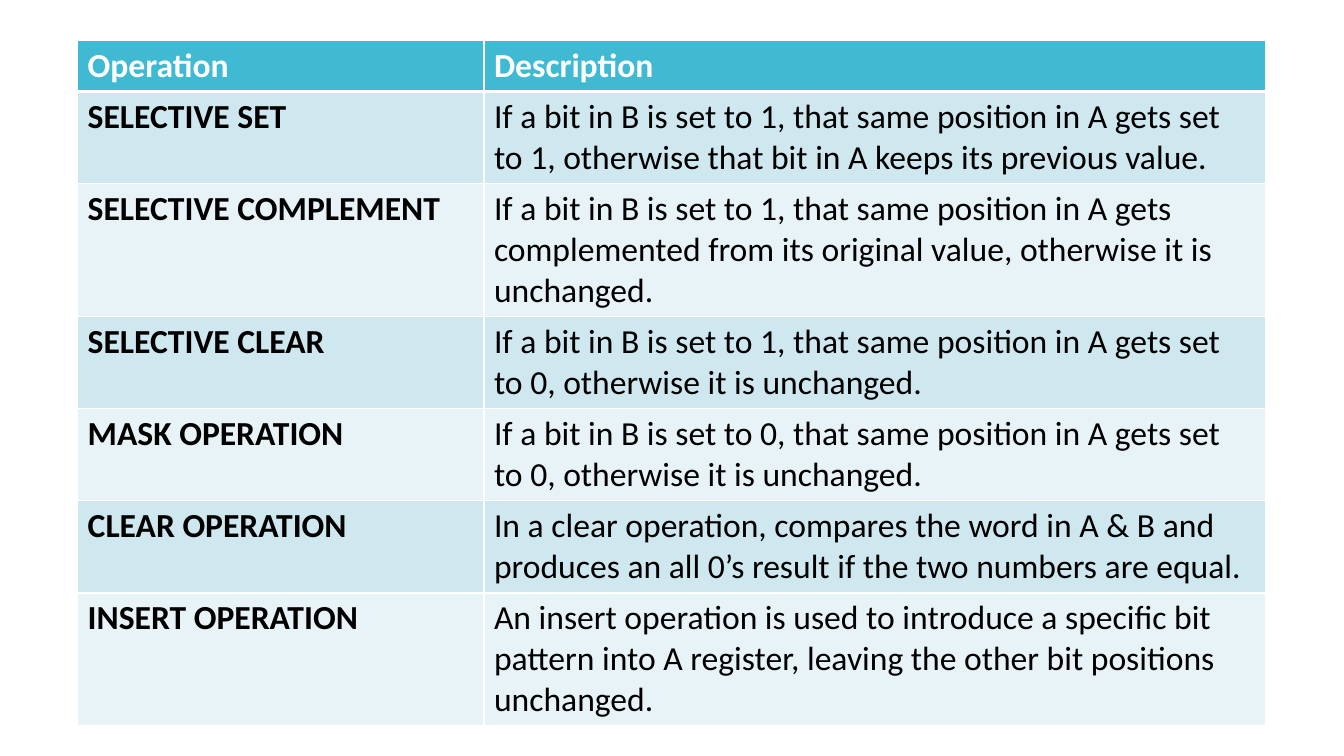
import pptx
import pptx.dml.color
import pptx.oxml
import pptx.oxml.ns
import pptx.util
from pptx.util import Inches

WHITE = pptx.dml.color.RGBColor(0xFF, 0xFF, 0xFF)
BLACK = pptx.dml.color.RGBColor(0x00, 0x00, 0x00)
TEAL = pptx.dml.color.RGBColor(0x40, 0xBA, 0xD2)
BAND_DARK = pptx.dml.color.RGBColor(0xCF, 0xE7, 0xEE)
BAND_LIGHT = pptx.dml.color.RGBColor(0xE8, 0xF3, 0xF7)

HEADINGS = ("Operation", "Description")
OPERATIONS = [
    ("SELECTIVE SET",
     "If a bit in B is set to 1, that same position in A gets set to 1, "
     "otherwise that bit in A keeps its previous value."),
    ("SELECTIVE COMPLEMENT",
     "If a bit in B is set to 1, that same position in A gets complemented "
     "from its original value, otherwise it is unchanged."),
    ("SELECTIVE CLEAR",
     "If a bit in B is set to 1, that same position in A gets set to 0, "
     "otherwise it is unchanged."),
    ("MASK OPERATION",
     "If a bit in B is set to 0, that same position in A gets set to 0, "
     "otherwise it is unchanged."),
    ("CLEAR OPERATION",
     "In a clear operation, compares the word in A & B and "
     "produces an all 0’s result if the two numbers are equal."),
    ("INSERT OPERATION",
     "An insert operation is used to introduce a specific bit pattern into "
     "A register, leaving the other bit positions unchanged."),
]


class SlideBuilder:
    font_name = "Calibri"
    font_size = pptx.util.Pt(24)
    border_color = WHITE

    def __init__(self, slide):
        self.slide = slide

    def border(self, cell, side, points):
        """Draw one cell edge; side is L, R, T or B."""
        cell._tc.get_or_add_tcPr().append(pptx.oxml.parse_xml(
            f'<a:ln{side} {pptx.oxml.ns.nsdecls("a")} w="{pptx.util.Pt(points)}">'
            f'<a:solidFill><a:srgbClr val="{self.border_color}"/></a:solidFill>'
            f'</a:ln{side}>'))

    def cell(self, cell, text, fill, color, bold, top, bottom):
        for side, points in (("L", 1), ("R", 1), ("T", top), ("B", bottom)):
            self.border(cell, side, points)
        cell.fill.solid()
        cell.fill.fore_color.rgb = fill
        cell.text = text
        font = cell.text_frame.paragraphs[0].font
        font.name = self.font_name
        font.size = self.font_size
        font.bold = bold
        font.color.rgb = color

    def table(self, left, top, widths, row_height, headings, rows):
        """Add a banded table whose rows grow to fit their text."""
        count = len(rows) + 1
        table = self.slide.shapes.add_table(
            count, len(widths), left, top, sum(widths), row_height * count).table
        for column, width in zip(table.columns, widths):
            column.width = width
        for r, texts in enumerate([headings, *rows]):
            header = r == 0
            fill = TEAL if header else BAND_DARK if r % 2 else BAND_LIGHT
            for c, text in enumerate(texts):
                self.cell(table.cell(r, c), text, fill,
                          color=WHITE if header else BLACK,
                          bold=header or c == 0,
                          top=3 if r == 1 else 1,
                          bottom=3 if header else 1)


def main():
    deck = pptx.Presentation()
    deck.slide_width = Inches(13.33)
    deck.slide_height = Inches(7.5)
    builder = SlideBuilder(deck.slides.add_slide(deck.slide_layouts[6]))
    builder.table(Inches(0.77), Inches(0.4), (Inches(4.03), Inches(7.75)),
                  Inches(0.41), HEADINGS, OPERATIONS)
    deck.save("out.pptx")


if __name__ == "__main__":
    main()
